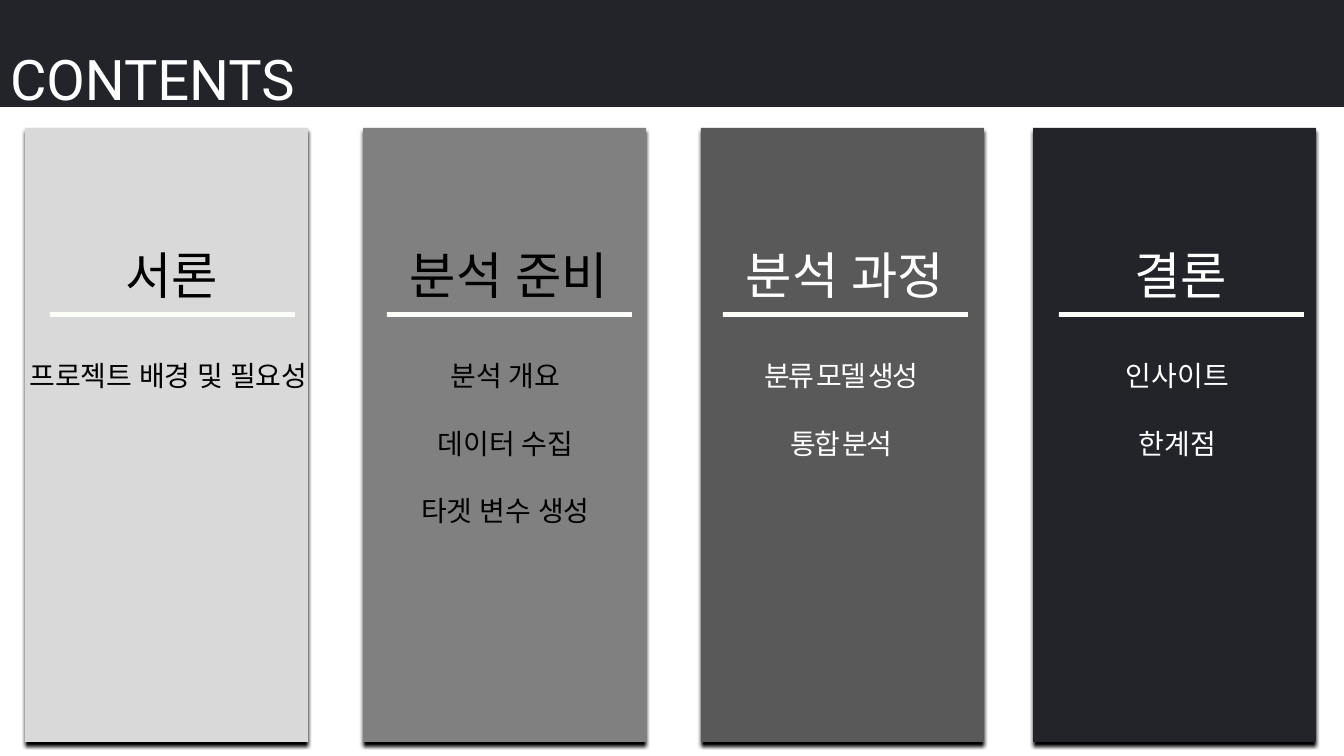
from lxml import etree
from pptx import Presentation
from pptx.dml.color import RGBColor
from pptx.enum.shapes import MSO_SHAPE
from pptx.enum.text import MSO_ANCHOR, MSO_AUTO_SIZE, PP_ALIGN
from pptx.oxml.ns import qn
from pptx.util import Emu, Pt

COLORS = {
    "ink": "222429", "light": "D9D9D9", "mid": "808080", "dark": "595959",
    "rule": "FBFDF9", "black": "000000", "white": "FFFFFF",
}
FONT = "Roboto"
TITLE = "CONTENTS"
# heading, topics, card colour, text colour, column x, card x, letter spacing (1/100 pt)
CHAPTERS = [
    ("서론", ["프로젝트 배경 및 필요성"], "light", "black", 4, 25, 0),
    ("분석 준비", ["분석 개요", "데이터 수집", "타겟 변수 생성"], "mid", "black", 341, 363, 0),
    ("분석 과정", ["분류 모델 생성", "통합 분석"], "dark", "white", 677, 701, -220),
    ("결론", ["인사이트", "한계점"], "ink", "white", 1013, 1033, 0),
]


def px(length):
    return Emu(round(length * 914400 / 67.2))


def rgb(name):
    return RGBColor.from_string(COLORS[name])


def add_shadow(properties, blur, distance, angle, alpha):
    """Give a shape's or run's properties a black outer shadow."""
    effects = properties.find(qn("a:effectLst"))
    if effects is None:
        effects = etree.Element(qn("a:effectLst"))
        properties.find(qn("a:solidFill")).addnext(effects)
    shadow = etree.SubElement(effects, qn("a:outerShdw"), blurRad=str(Pt(blur)),
                              dist=str(Pt(distance)), dir=str(angle * 60000),
                              algn="t", rotWithShape="0")
    black = etree.SubElement(shadow, qn("a:srgbClr"), val=COLORS["black"])
    etree.SubElement(black, qn("a:alpha"), val=str(alpha * 1000))


def add_block(slide, color, x, y, width, height):
    block = slide.shapes.add_shape(MSO_SHAPE.RECTANGLE, px(x), px(y), px(width), px(height))
    block.shadow.inherit = False
    block.fill.solid()
    block.fill.fore_color.rgb = rgb(color)
    block.line.fill.background()
    return block


def place(shape, x, y, width, height):
    shape.left, shape.top, shape.width, shape.height = map(px, (x, y, width, height))


def write(shape, lines, size, color, align=PP_ALIGN.CENTER, spacing=1.0, tracking=0):
    frame = shape.text_frame
    frame.text = "\n".join(lines)
    frame.word_wrap = True
    frame.auto_size = MSO_AUTO_SIZE.NONE
    frame.vertical_anchor = MSO_ANCHOR.TOP
    for paragraph in frame.paragraphs:
        paragraph.alignment = align
        paragraph.line_spacing = spacing
        paragraph.space_before = Pt(0)
        properties = paragraph._p.get_or_add_pPr()
        properties.set("marL", "0")
        properties.set("indent", "0")
        etree.SubElement(properties, qn("a:buNone"))
        for run in paragraph.runs:
            run.font.size = Pt(size)
            run.font.bold = False
            run.font.name = FONT
            run.font.color.rgb = rgb(color)
            run_properties = run._r.get_or_add_rPr()
            etree.SubElement(run_properties, qn("a:ea"), typeface=FONT)
            if tracking:
                run_properties.set("spc", str(tracking))


def bring_to_front(shape):
    tree = shape._element.getparent()
    tree.remove(shape._element)
    tree.append(shape._element)


def add_chapter(slide, topic_list, chapter):
    heading, topics, card_color, text_color, x, card_x, tracking = chapter
    card = add_block(slide, card_color, card_x, 128, 283, 614)
    add_shadow(card._element.spPr, 4, 4, 90, 100)
    heading_box = slide.shapes.add_textbox(px(x), px(241), px(336), px(68))
    write(heading_box, [heading], 54, text_color)
    add_block(slide, "rule", x + 46, 312, 245, 5)
    place(topic_list, x - 3, 322, 335, 67 * len(topics))
    write(topic_list, topics, 30, text_color, spacing=2.0, tracking=tracking)
    bring_to_front(topic_list)


def main():
    deck = Presentation()
    deck.slide_width, deck.slide_height = px(1344), px(756)
    comparison_layout = deck.slide_layouts[4]
    slide = deck.slides.add_slide(comparison_layout)
    title, *topic_lists = slide.placeholders

    add_block(slide, "ink", 0, 0, 1344, 107)
    place(title, 10, 44, 420, 66)
    write(title, [TITLE], 60, "white", PP_ALIGN.LEFT)
    title.text_frame.margin_left = title.text_frame.margin_top = 0
    add_shadow(title.text_frame.paragraphs[0].runs[0]._r.rPr, 3, 3, 45, 45)
    bring_to_front(title)

    for topic_list, chapter in zip(topic_lists, CHAPTERS):
        add_chapter(slide, topic_list, chapter)
    deck.save("out.pptx")


if __name__ == "__main__":
    main()
